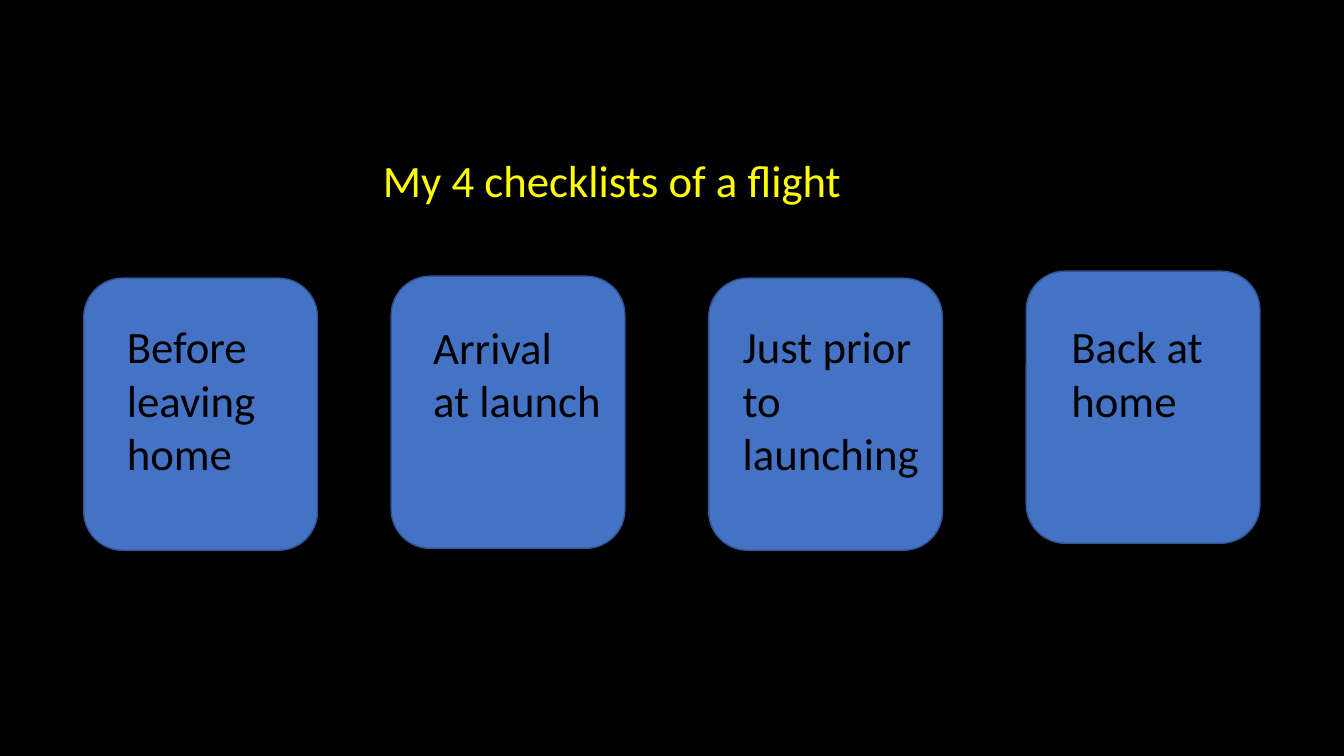
from pptx import Presentation
from pptx.dml.color import RGBColor
from pptx.enum.shapes import MSO_SHAPE
from pptx.enum.text import MSO_AUTO_SIZE
from pptx.util import Pt

ROUNDED = MSO_SHAPE.ROUNDED_RECTANGLE
GROW = MSO_AUTO_SIZE.SHAPE_TO_FIT_TEXT

COLORS = {
    "background": "000000",
    "title": "FFFF00",
    "card": "4472C4",
    "card_line": "325491",
    "label": "000000",
}
FONT_FORMAT = {"name": "Calibri", "size": Pt(32)}
CARD_WIDTH, CARD_HEIGHT = 167, 194.4

# Card left and top; label left, top, width and height; label wording
CHECKLISTS = [
    ((59.8, 198.7), (83.5, 223.9, 136, 123.8), "Before \vleaving \vhome"),
    ((279.4, 197.3), (302.4, 224.6, 136, 85), "Arrival\vat launch"),
    ((506.2, 198.7), (523.4, 223.9, 149.8, 123.8), "Just prior\vto \vlaunching"),
    ((733, 193.7), (758.2, 223.9, 136, 85), "Back at\vhome"),
]


def color(key):
    return RGBColor.from_string(COLORS[key])


def add_card(slide, left, top):
    card = slide.shapes.add_shape(
        ROUNDED, Pt(left), Pt(top), Pt(CARD_WIDTH), Pt(CARD_HEIGHT))
    card.shadow.inherit = False
    card.fill.solid()
    card.fill.fore_color.rgb = color("card")
    card.line.color.rgb = color("card_line")
    card.line.width = Pt(1)


def add_text(slide, box, wording, color_key):
    frame = slide.shapes.add_textbox(*map(Pt, box)).text_frame
    frame.word_wrap = True
    frame.auto_size = GROW
    paragraph = frame.paragraphs[0]
    paragraph.text = wording
    paragraph.space_after = Pt(12)
    for run in paragraph.runs:
        for attribute, value in FONT_FORMAT.items():
            setattr(run.font, attribute, value)
        run.font.color.rgb = color(color_key)


def main():
    deck = Presentation()
    deck.slide_width, deck.slide_height = Pt(960), Pt(540)
    slide = deck.slides.add_slide(deck.slide_layouts[6])

    # Background
    backdrop = slide.background.fill
    backdrop.solid()
    backdrop.fore_color.rgb = color("background")

    # Title
    add_text(slide, (266.4, 105.8, 391.7, 46.1), "My 4 checklists of a flight", "title")

    # Checklist cards with their labels
    for card_position, label_box, wording in CHECKLISTS:
        add_card(slide, *card_position)
        add_text(slide, label_box, wording, "label")

    deck.save("out.pptx")


main()
